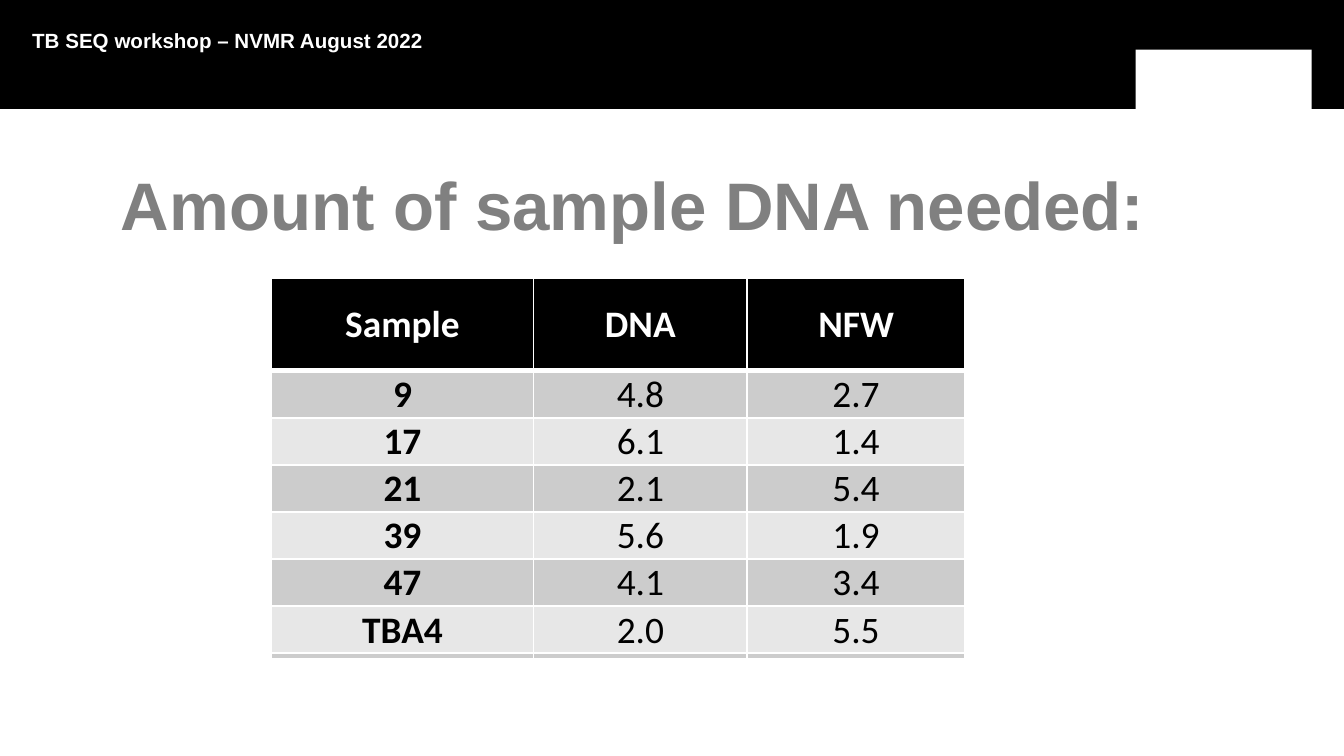
from lxml import etree
from pptx import Presentation
from pptx.dml.color import RGBColor
from pptx.enum.shapes import MSO_SHAPE
from pptx.enum.text import MSO_ANCHOR, MSO_AUTO_SIZE, PP_ALIGN
from pptx.oxml.ns import qn
from pptx.util import Inches, Pt

BLACK = RGBColor(0x00, 0x00, 0x00)
WHITE = RGBColor(0xFF, 0xFF, 0xFF)
GREY = RGBColor(0x80, 0x80, 0x80)
BANDS = (RGBColor(0xCC, 0xCC, 0xCC), RGBColor(0xE7, 0xE7, 0xE7))

HEADINGS = ("Sample", "DNA", "NFW")
SAMPLES = (
    ("9", "4.8", "2.7"),
    ("17", "6.1", "1.4"),
    ("21", "2.1", "5.4"),
    ("39", "5.6", "1.9"),
    ("47", "4.1", "3.4"),
    ("TBA4", "2.0", "5.5"),
)
COL_WIDTHS = (1.95, 1.59, 1.62)
HEAD_HEIGHT, ROW_HEIGHT = 0.69, 0.35


def format_runs(p, size, font, color, bold):
    for r in p.runs:
        r.font.size = Pt(size)
        r.font.name = font
        r.font.bold = bold
        r.font.color.rgb = color


def add_block(s, x, y, w, h, color):
    block = s.shapes.add_shape(MSO_SHAPE.RECTANGLE, Inches(x), Inches(y), Inches(w), Inches(h))
    block.shadow.inherit = False
    block.fill.solid()
    block.fill.fore_color.rgb = color
    block.line.fill.background()
    return block


def add_banner(s, x, y, w, h):
    """Black band with the workshop name and a plain block in the logo's place."""
    add_block(s, x, y, w, h, BLACK)
    add_block(s, x + w - 1.55, y + 0.37, 1.31, h - 0.36, WHITE)
    tb = s.shapes.add_textbox(Inches(x + 0.24), Inches(y + 0.24), Inches(6), Inches(0.32))
    tf = tb.text_frame
    tf.word_wrap = True
    tf.margin_left = tf.margin_top = tf.margin_right = tf.margin_bottom = 0
    p = tf.paragraphs[0]
    p.text = "TB SEQ workshop – NVMR August 2022"
    p.line_spacing = 0.8
    p.space_before = Pt(7.5)
    format_runs(p, 11, "Arial", WHITE, True)


def place_title(s, x, y, w, h):
    title = s.shapes.title
    title.left, title.top, title.width, title.height = map(Inches, (x, y, w, h))
    tf = title.text_frame
    tf.text = "Amount of sample DNA needed:"
    tf.auto_size = MSO_AUTO_SIZE.NONE
    tf.vertical_anchor = MSO_ANCHOR.TOP
    p = tf.paragraphs[0]
    p.alignment = PP_ALIGN.LEFT
    p.line_spacing = 0.9
    p.space_before = Pt(7.5)
    format_runs(p, 36, "Arial", GREY, True)


def set_borders(cell, top, bottom):
    """Draw white borders; top and bottom are widths in points."""
    tcPr = cell._tc.get_or_add_tcPr()
    for side, width in (("L", 1), ("R", 1), ("T", top), ("B", bottom)):
        ln = etree.SubElement(tcPr, qn(f"a:ln{side}"), w=str(Pt(width)))
        fill = etree.SubElement(ln, qn("a:solidFill"))
        etree.SubElement(fill, qn("a:srgbClr"), val=str(WHITE))


def fill_cell(cell, text, row, col):
    header = row == 0
    set_borders(cell, 3 if row == 1 else 1, 3 if header else 1)
    cell.fill.solid()
    cell.fill.fore_color.rgb = BLACK if header else BANDS[(row - 1) % 2]
    cell.vertical_anchor = MSO_ANCHOR.MIDDLE
    cell.margin_left = cell.margin_right = cell.margin_top = Inches(0.01)
    cell.margin_bottom = 0
    p = cell.text_frame.paragraphs[0]
    p.text = text
    p.alignment = PP_ALIGN.CENTER
    p.font.size = Pt(20)
    format_runs(p, 20, "Calibri", WHITE if header else BLACK, header or col == 0)


def add_sample_table(s, x, y):
    """Sample table whose last, empty row is cut to a strip by a white block."""
    rows = (HEADINGS, *SAMPLES, ("",) * len(HEADINGS))
    heights = (HEAD_HEIGHT, *[ROW_HEIGHT] * (len(rows) - 1))
    width, height = sum(COL_WIDTHS), sum(heights)
    frame = s.shapes.add_table(len(rows), len(HEADINGS), Inches(x), Inches(y),
                               Inches(width), Inches(height))
    table = frame.table
    for column, col_width in zip(table.columns, COL_WIDTHS):
        column.width = Inches(col_width)
    for i, (values, row_height) in enumerate(zip(rows, heights)):
        table.rows[i].height = Inches(row_height)
        for j, text in enumerate(values):
            fill_cell(table.cell(i, j), text, i, j)
    cover = add_block(s, x, y + 2.83, width + 0.09, 0.38, WHITE)
    cover.line.color.rgb = WHITE
    cover.line.width = Pt(1)


def main():
    prs = Presentation()
    prs.slide_width = Inches(10)
    prs.slide_height = prs.slide_width * 9 // 16
    s = prs.slides.add_slide(prs.slide_layouts[5])
    add_banner(s, 0, 0, 10, 0.81)
    place_title(s, 0.8, 1.23, 8.64, 1.42)
    add_sample_table(s, 2.02, 2.07)
    prs.save("out.pptx")


if __name__ == "__main__":
    main()
